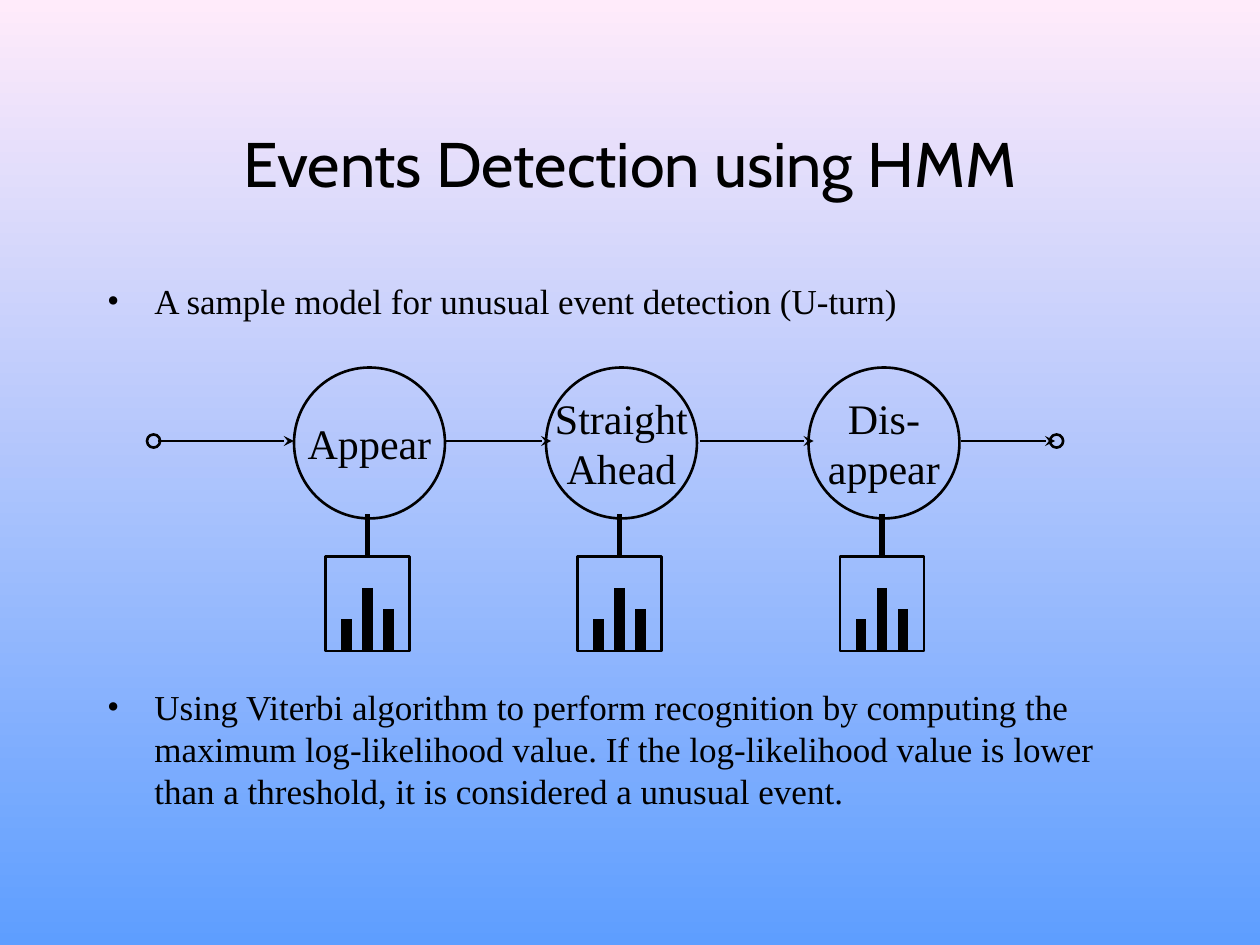
from dataclasses import dataclass

from lxml.etree import SubElement
from pptx import Presentation
from pptx.dml.color import RGBColor
from pptx.enum.shapes import MSO_CONNECTOR, MSO_SHAPE
from pptx.enum.text import MSO_ANCHOR, MSO_AUTO_SIZE, PP_ALIGN
from pptx.oxml.ns import qn
from pptx.util import Emu, Pt


@dataclass(frozen=True)
class Theme:
    ink: str = "000000"
    sky: tuple = ("FFEBFA", "5E9EFF")
    head: str = "Cabin"
    body: str = "Times New Roman"
    title: int = 36
    list: int = 20
    node: int = 24
    thin: float = 1.5
    stem: int = 3
    bar: int = 6


THEME = Theme()
INK = RGBColor.from_string(THEME.ink)


def px(num):
    return Emu(num * 9525)


def write(frame, lines, size, font=THEME.body, align=PP_ALIGN.LEFT,
          anchor=MSO_ANCHOR.MIDDLE, wrap=True, bullet=False, gap=0):
    frame.word_wrap = wrap
    frame.auto_size = MSO_AUTO_SIZE.NONE
    frame.vertical_anchor = anchor
    for pos, line in enumerate(lines):
        para = frame.add_paragraph() if pos else frame.paragraphs[0]
        para.alignment = align
        para.space_before = Pt(gap if pos else 0)
        if bullet:
            props = para._p.get_or_add_pPr()
            props.set("marL", str(px(36)))
            props.set("indent", str(-px(36)))
            tint = SubElement(props, qn("a:buClr"))
            SubElement(tint, qn("a:srgbClr"), val=THEME.ink)
            SubElement(props, qn("a:buFont"), typeface=font)
            SubElement(props, qn("a:buChar"), char="•")
        run = para.add_run()
        run.text = line
        run.font.size = Pt(size)
        run.font.name = font
        run.font.color.rgb = INK


def place(shape, box):
    shape.left, shape.top, shape.width, shape.height = map(px, box)


def shade(slide):
    fill = slide.background.fill
    fill.gradient()
    fill.gradient_angle = 270
    for stop, tone in zip(fill.gradient_stops, THEME.sky):
        stop.color.rgb = RGBColor.from_string(tone)


def title(slide, box):
    shape = slide.shapes.title
    place(shape, box)
    write(shape.text_frame, ["Events Detection using HMM"], THEME.title,
          font=THEME.head, align=PP_ALIGN.CENTER)


def points(slide, box):
    shape = slide.placeholders[1]
    place(shape, box)
    write(shape.text_frame, [
        "A sample model for unusual event detection (U-turn)",
        "Using Viterbi algorithm to perform recognition by computing the "
        "maximum log-likelihood value. If the log-likelihood value is lower "
        "than a threshold, it is considered a unusual event.",
    ], THEME.list, anchor=MSO_ANCHOR.TOP, bullet=True, gap=208)


def form(group, kind, box):
    shape = group.shapes.add_shape(kind, *map(px, box))
    shape.shadow.inherit = False
    shape.fill.background()
    shape.line.color.rgb = INK
    shape.line.width = Pt(THEME.thin)
    return shape


def line(group, start, end, width, arrow=False):
    link = group.shapes.add_connector(
        MSO_CONNECTOR.STRAIGHT, *map(px, start + end))
    link.line.color.rgb = INK
    link.line.width = Pt(width)
    if arrow:
        SubElement(link.line._get_or_add_ln(), qn("a:tailEnd"), type="stealth")
    SubElement(link._element.spPr, qn("a:effectLst"))


def state(group, left, top, words):
    node = form(group, MSO_SHAPE.OVAL, (left, top, 115, 115))
    write(node.text_frame, words, THEME.node, align=PP_ALIGN.CENTER, wrap=False)
    form(group, MSO_SHAPE.RECTANGLE, (left + 24, top + 144, 64, 72))
    base = top + 216
    for step, tall in enumerate((24, 48, 32)):
        mid = left + 40 + 16 * step
        line(group, (mid, base - tall), (mid, base), THEME.bar)
    line(group, (left + 56, top + 144), (left + 56, top + 112), THEME.stem)


def chain(slide, left, top):
    group = slide.shapes.add_group_shape()
    states = ((112, ["Appear"]), (304, ["Straight", "Ahead"]),
              (504, ["Dis-", "appear"]))
    for shift, words in states:
        state(group, left + shift, top, words)
    for shift in (0, 688):
        form(group, MSO_SHAPE.OVAL, (left + shift, top + 51, 10, 10))
    for start, end in ((8, 112), (228, 308), (421, 508), (620, 692)):
        line(group, (left + start, top + 56), (left + end, top + 56),
             THEME.thin, arrow=True)


def main():
    deck = Presentation()
    deck.slide_width, deck.slide_height = px(960), px(720)
    slide = deck.slides.add_slide(deck.slide_layouts[1])
    shade(slide)
    title(slide, (72, 64, 816, 120))
    points(slide, (72, 208, 816, 432))
    chain(slide, 112, 280)
    deck.save("out.pptx")


if __name__ == "__main__":
    main()
